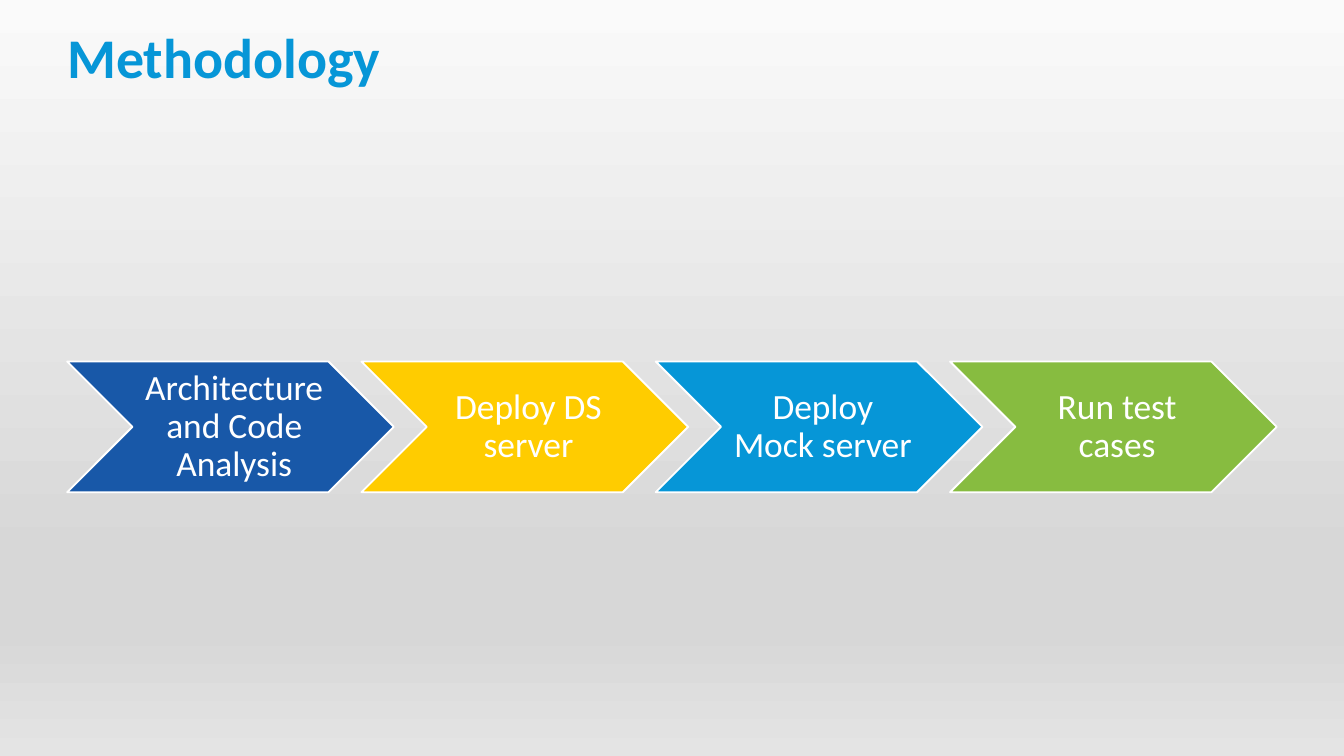
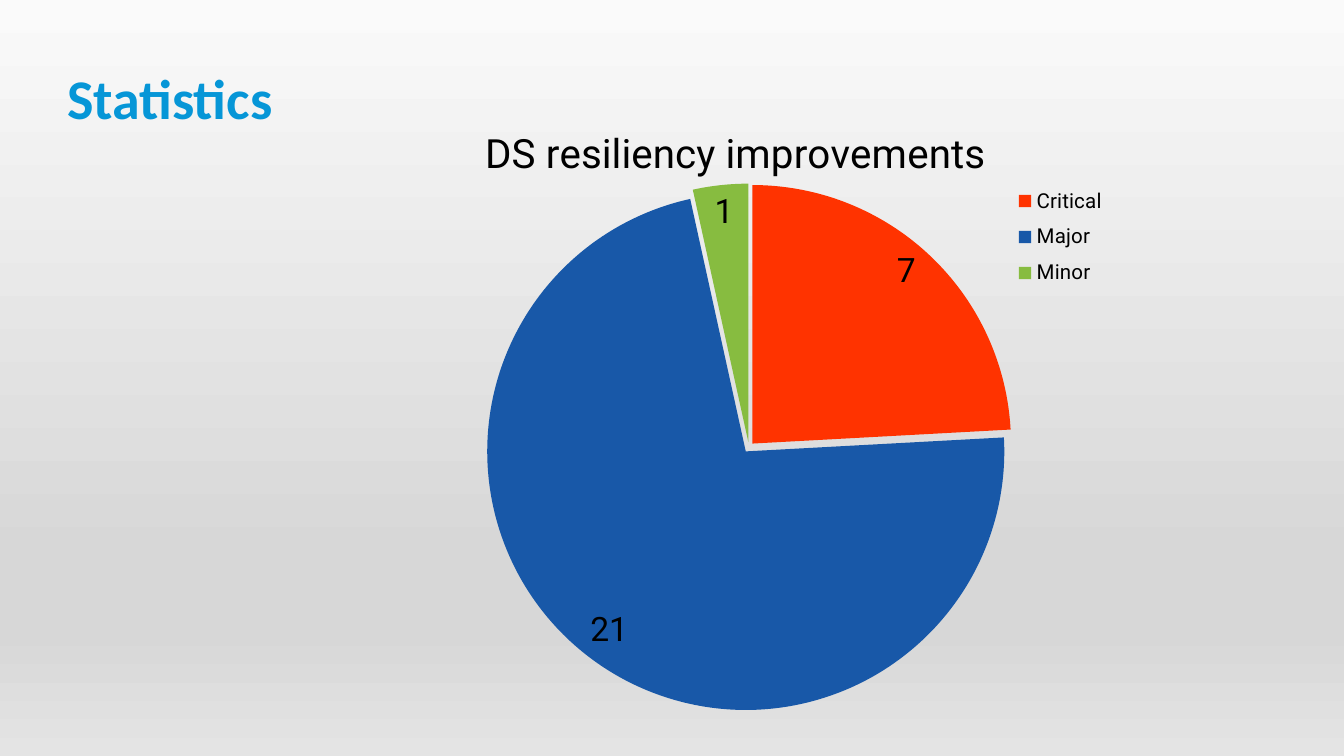
import copy
from dataclasses import dataclass

import lxml.etree
import pptx
import pptx.chart.data
import pptx.dml.color
import pptx.enum.chart
import pptx.enum.shapes
import pptx.enum.text
import pptx.oxml.ns
import pptx.util

Pt = pptx.util.Pt
qn = pptx.oxml.ns.qn

BLUE, NAVY, YELLOW, GREEN, RED = "0696D7", "1858A8", "FFCC00", "87BC40", "FF3300"
WHITE, BLACK = "FFFFFF", "000000"
BACKGROUND_STOPS = [(0, "FAFAFA"), (0.74, "D7D7D7"), (0.83, "D7D7D7"), (1, "E4E4E4")]
BODY_FONT, CHART_FONT = "Calibri", "Roboto"
MARGIN = 36
CONTENT_WIDTH = 648
STEP_TOP, STEP_WIDTH, STEP_HEIGHT = 193.7, 175, 70


@dataclass(frozen=True)
class Step:
    """One stage of the methodology."""
    label: str
    color: str


@dataclass(frozen=True)
class Severity:
    """One slice of the improvements pie."""
    name: str
    count: int
    color: str


STEPS = [
    Step("Architecture and Code Analysis", NAVY),
    Step("Deploy DS server", YELLOW),
    Step("Deploy Mock server", BLUE),
    Step("Run test cases", GREEN),
]
SEVERITIES = [
    Severity("Critical", 7, RED),
    Severity("Major", 21, NAVY),
    Severity("Minor", 1, GREEN),
]


def rgb(value: str) -> pptx.dml.color.RGBColor:
    """Turn a hex string into a colour."""
    return pptx.dml.color.RGBColor.from_string(value)


def set_font(font, name: str, size: float, color: str, bold: bool = False) -> None:
    """Set the typeface, size, colour and weight of a font."""
    font.name, font.size, font.bold = name, Pt(size), bold
    font.color.rgb = rgb(color)


def paint_background(slide) -> None:
    """Fill the slide background with the shared vertical gradient."""
    fill = slide.background.fill
    fill.gradient()
    fill.gradient_angle = 270
    stop_list = next(slide.element.iter(qn("a:gsLst")))
    for _ in range(len(BACKGROUND_STOPS) - len(stop_list)):
        stop_list.append(copy.deepcopy(stop_list[0]))
    for stop, (position, color) in zip(fill.gradient_stops, BACKGROUND_STOPS):
        stop.position = position
        stop.color.rgb = rgb(color)


def add_text(slide, text: str, box: tuple, insets: tuple, line_spacing: float):
    """Add a wrapping text box and return its frame and paragraph."""
    frame = slide.shapes.add_textbox(*map(Pt, box)).text_frame
    frame.word_wrap = True
    (frame.margin_left, frame.margin_top,
     frame.margin_right, frame.margin_bottom) = map(Pt, insets)
    paragraph = frame.paragraphs[0]
    paragraph.text = text
    paragraph.line_spacing = line_spacing
    return frame, paragraph


def add_titled_slide(presentation, title: str, line_spacing: float):
    """Add a slide with the shared background and title style."""
    slide = presentation.slides.add_slide(presentation.slide_layouts[6])
    paint_background(slide)
    box = (MARGIN, 16.2, CONTENT_WIDTH, 67.5)
    _, paragraph = add_text(slide, title, box, (0, 0, 0, 0), line_spacing)
    set_font(paragraph.font, BODY_FONT, 30, BLUE, bold=True)
    return slide


def add_step(slide, step: Step, left: float) -> None:
    """Draw one chevron with its label."""
    shape = slide.shapes.add_shape(
        pptx.enum.shapes.MSO_SHAPE.CHEVRON,
        Pt(left), Pt(STEP_TOP), Pt(STEP_WIDTH), Pt(STEP_HEIGHT))
    shape.shadow.inherit = False
    shape.fill.solid()
    shape.fill.fore_color.rgb = rgb(step.color)
    shape.line.color.rgb = rgb(WHITE)
    shape.line.width = Pt(1)
    notch = STEP_HEIGHT / 2
    box = (left + notch, STEP_TOP, STEP_WIDTH - 2 * notch, STEP_HEIGHT)
    frame, paragraph = add_text(slide, step.label, box, (6, 2, 2, 2), 0.9)
    frame.vertical_anchor = pptx.enum.text.MSO_ANCHOR.MIDDLE
    paragraph.alignment = pptx.enum.text.PP_ALIGN.CENTER
    set_font(paragraph.font, BODY_FONT, 19, WHITE)


def place_chart_part(part, after: str | None, **settings) -> None:
    """Give a chart part a manual layout following the named child."""
    for old_layout in part.findall(qn("c:layout")):
        part.remove(old_layout)
    layout = lxml.etree.Element(qn("c:layout"))
    manual = lxml.etree.SubElement(layout, qn("c:manualLayout"))
    for name, value in settings.items():
        lxml.etree.SubElement(manual, qn(f"c:{name}")).set("val", str(value))
    if after:
        part.find(qn(after)).addnext(layout)
    else:
        part.insert(0, layout)


def add_severity_chart(slide) -> None:
    """Draw the pie of improvements by severity."""
    data = pptx.chart.data.CategoryChartData()
    data.categories = [severity.name for severity in SEVERITIES]
    data.add_series("Series 1", [severity.count for severity in SEVERITIES])
    chart = slide.shapes.add_chart(
        pptx.enum.chart.XL_CHART_TYPE.PIE,
        Pt(191), Pt(63.5), Pt(433.5), Pt(317.5), data).chart
    set_font(chart.font, CHART_FONT, 18, BLACK)

    chart.has_title = True
    title = chart.chart_title.text_frame.paragraphs[0]
    title.text = "DS resiliency improvements"
    set_font(title.font, CHART_FONT, 21.6, BLACK)

    chart.has_legend = True
    chart.legend.position = pptx.enum.chart.XL_LEGEND_POSITION.CORNER
    chart.legend.include_in_layout = False
    set_font(chart.legend.font, CHART_FONT, 11, BLACK)

    plot = chart.plots[0]
    plot.vary_by_categories = True
    plot.has_data_labels = True
    labels = plot.data_labels
    labels.show_value = True
    labels.show_percentage = False
    labels.position = pptx.enum.chart.XL_LABEL_POSITION.BEST_FIT
    set_font(labels.font, CHART_FONT, 18, BLACK)
    for index, severity in enumerate(SEVERITIES):
        fill = plot.series[0].points[index].format.fill
        fill.solid()
        fill.fore_color.rgb = rgb(severity.color)

    root = chart.element
    explosion = lxml.etree.Element(qn("c:explosion"), val="2")
    next(root.iter(qn("c:dPt"))).addprevious(explosion)
    edges = {"xMode": "edge", "yMode": "edge"}
    place_chart_part(next(root.iter(qn("c:title"))), "c:tx", **edges, x=0.15, y=0)
    place_chart_part(next(root.iter(qn("c:legend"))), "c:legendPos",
                     **edges, x=0.8, y=0.1, w=0.14, h=0.2)
    place_chart_part(next(root.iter(qn("c:plotArea"))), None, layoutTarget="inner",
                     **edges, x=0.1, y=0.11, w=0.77, h=0.89)


def build_methodology(presentation) -> None:
    """Build the slide with the row of steps."""
    slide = add_titled_slide(presentation, "Methodology", 0.9)
    pitch = (CONTENT_WIDTH - STEP_WIDTH) / (len(STEPS) - 1)
    for index, step in enumerate(STEPS):
        add_step(slide, step, MARGIN + index * pitch)


def build_statistics(presentation) -> None:
    """Build the slide with the pie chart."""
    slide = add_titled_slide(presentation, "Statistics", 1.5)
    add_severity_chart(slide)


def main() -> None:
    """Build and save the presentation."""
    presentation = pptx.Presentation()
    presentation.slide_width, presentation.slide_height = Pt(720), Pt(405)
    build_methodology(presentation)
    build_statistics(presentation)
    presentation.save("out.pptx")


if __name__ == "__main__":
    main()
